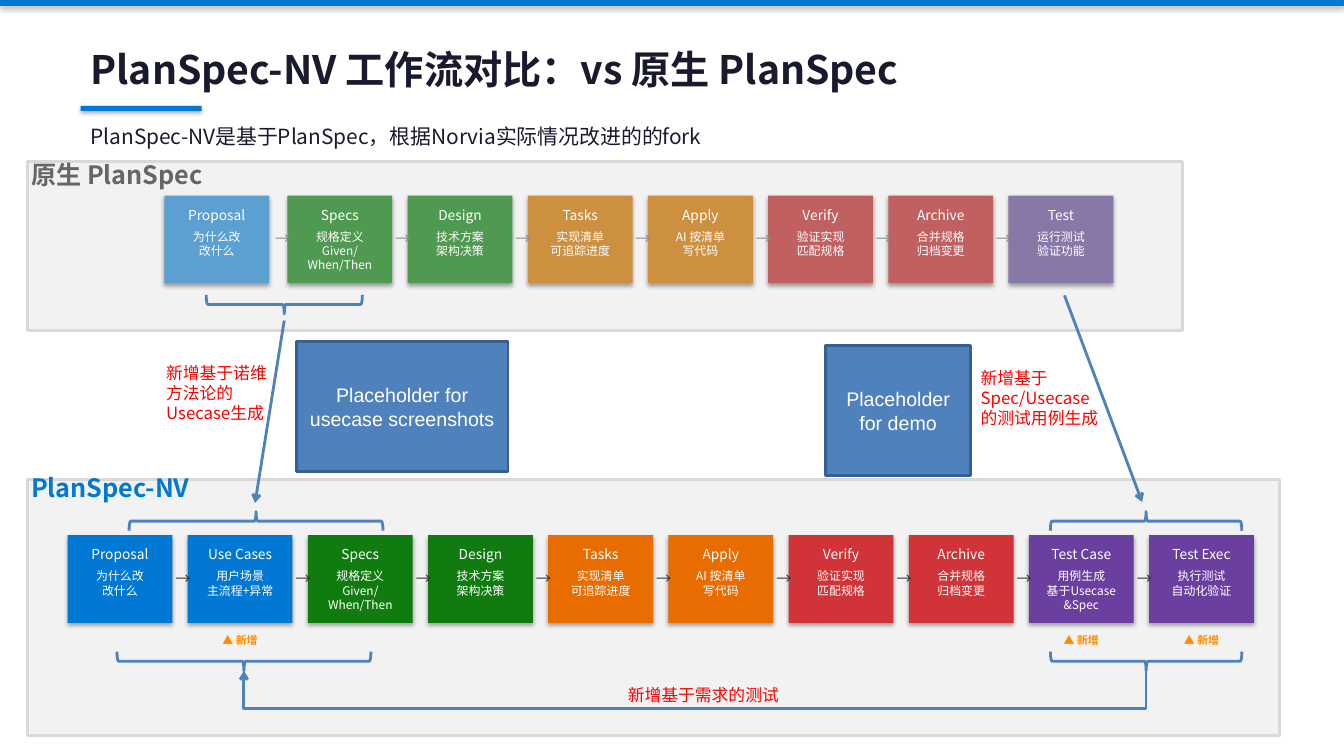
from dataclasses import dataclass

from lxml import etree
from pptx import Presentation
from pptx.dml.color import RGBColor
from pptx.enum.shapes import MSO_CONNECTOR, MSO_SHAPE
from pptx.enum.text import MSO_ANCHOR, MSO_AUTO_SIZE, PP_ALIGN
from pptx.oxml.ns import qn
from pptx.util import Inches, Pt

RECT, BRACE = MSO_SHAPE.RECTANGLE, MSO_SHAPE.RIGHT_BRACE
STRAIGHT, ELBOW = MSO_CONNECTOR.STRAIGHT, MSO_CONNECTOR.ELBOW
LEFT, CENTER = PP_ALIGN.LEFT, PP_ALIGN.CENTER
MIDDLE, GROW = MSO_ANCHOR.MIDDLE, MSO_AUTO_SIZE.SHAPE_TO_FIT_TEXT

CJK, LATIN = "Noto Sans CJK SC", "Arial"
WHITE = RGBColor(0xFF, 0xFF, 0xFF)
INK = RGBColor(0x1A, 0x1A, 0x2E)
RED = RGBColor(0xFF, 0x00, 0x00)
AMBER = RGBColor(0xFF, 0x8C, 0x00)
PANEL, PANEL_EDGE = RGBColor(0xF2, 0xF2, 0xF2), RGBColor(0xD9, 0xD9, 0xD9)
STEEL, STEEL_EDGE = RGBColor(0x4F, 0x81, 0xBD), RGBColor(0x37, 0x60, 0x92)
GREY, CHARCOAL = RGBColor(0x66, 0x66, 0x66), RGBColor(0x33, 0x33, 0x33)
ARROW_GREY = RGBColor(0x88, 0x88, 0x88)
SOFT_BLUE, BLUE = RGBColor(0x5B, 0xA0, 0xD0), RGBColor(0x00, 0x78, 0xD4)
SOFT_GREEN, GREEN = RGBColor(0x50, 0x99, 0x50), RGBColor(0x10, 0x7C, 0x10)
SOFT_ORANGE, ORANGE = RGBColor(0xCC, 0x90, 0x40), RGBColor(0xE8, 0x6C, 0x00)
SOFT_RED, CRIMSON = RGBColor(0xC0, 0x60, 0x60), RGBColor(0xD1, 0x34, 0x38)
SOFT_PURPLE, PURPLE = RGBColor(0x88, 0x78, 0xA8), RGBColor(0x6B, 0x3F, 0xA0)

# All lengths are counted in columns and rows of a square grid.
CELL = Inches(0.1)
COLS, ROWS = 133.33, 75
CARD_W, CARD_H = 10.4, 8.7
FLOW_LEFT, PITCH = 6.7, 107.3 / 9


@dataclass(frozen=True)
class Box:
    left: float
    top: float
    width: float
    height: float

    def emu(self) -> list[int]:
        return [grid(v) for v in (self.left, self.top, self.width, self.height)]


@dataclass(frozen=True)
class Style:
    size: float
    color: RGBColor
    bold: bool = False
    align: PP_ALIGN = LEFT
    font: str = CJK


@dataclass(frozen=True)
class Step:
    name: str
    detail: str
    color: RGBColor
    left: float
    is_new: bool = False


@dataclass(frozen=True)
class Brace:
    """A horizontal brace; its point faces down at 90 and up at 270 degrees."""
    center: float
    middle: float
    span: float
    turn: int


def grid(cells: float) -> int:
    return round(cells * CELL)


def flow_col(n: float) -> float:
    return FLOW_LEFT + n * PITCH


HEAD = Style(9.8, WHITE, align=CENTER)
BODY = Style(8.5, WHITE, align=CENTER)
NEW_TAG = Style(7.8, AMBER, True, CENTER)
NOTE = Style(12, RED)
BUTTON = Style(14, WHITE, align=CENTER, font=LATIN)

SHARED = [("Design", "技术方案\n架构决策", SOFT_GREEN, GREEN),
          ("Tasks", "实现清单\n可追踪进度", SOFT_ORANGE, ORANGE),
          ("Apply", "AI 按清单\n写代码", SOFT_ORANGE, ORANGE),
          ("Verify", "验证实现\n匹配规格", SOFT_RED, CRIMSON),
          ("Archive", "合并规格\n归档变更", SOFT_RED, CRIMSON)]
WHY, GIVEN = "为什么改\n改什么", "规格定义\nGiven/When/Then"
SHIFT = 0.83  # the native flow starts this many card columns further right

NATIVE = [Step("Proposal", WHY, SOFT_BLUE, 16.3),
          Step("Specs", GIVEN, SOFT_GREEN, flow_col(SHIFT + 1)),
          *(Step(name, detail, soft, flow_col(SHIFT + i))
            for i, (name, detail, soft, _) in enumerate(SHARED, 2)),
          Step("Test", "运行测试\n验证功能", SOFT_PURPLE, flow_col(SHIFT + 7))]
EXTENDED = [Step("Proposal", WHY, BLUE, flow_col(0)),
            Step("Use Cases", "用户场景\n主流程+异常", BLUE, flow_col(1), True),
            Step("Specs", GIVEN, GREEN, flow_col(2)),
            *(Step(name, detail, strong, flow_col(i))
              for i, (name, detail, _, strong) in enumerate(SHARED, 3)),
            Step("Test Case", "用例生成\n基于Usecase &Spec", PURPLE, flow_col(8), True),
            Step("Test Exec", "执行测试\n自动化验证", PURPLE, flow_col(9), True)]

PANELS = [Box(2.7, 47.6, 124.2, 25.4), Box(2.7, 16, 114.6, 16.8)]
ACCENTS = [Box(0, 0, COLS, 0.6), Box(8, 10.5, 12, 0.5)]
TEXTS = [
    (Box(8, 4, 100, 5.7), "PlanSpec-NV 工作流对比：vs 原生 PlanSpec", Style(28, INK, True)),
    (Box(8, 11.8, 110, 3.5), "PlanSpec-NV是基于PlanSpec，根据Norvia实际情况改进的的fork",
     Style(14.9, INK)),
    (Box(2.1, 15.3, 54.7, 4), "原生 PlanSpec", Style(18, GREY, True)),
    (Box(2.1, 46.4, 54.7, 4), "PlanSpec-NV", Style(18, BLUE, True)),
    (Box(96.3, 36, 14.1, 7.1), "新增基于Spec/Usecase的测试用例生成", NOTE),
    (Box(61.3, 67.4, 32.4, 3), "新增基于需求的测试", NOTE),
    (Box(15.5, 35.5, 12, 8.8), "新增基于诺维方法论的Usecase生成", NOTE)]
BUTTONS = [(Box(29.4, 33.9, 21, 12.9), "Placeholder for usecase screenshots"),
           (Box(81.9, 34.3, 14.4, 12.9), "Placeholder for demo")]
BRACES = [Brace(28.2, 30.2, 15.5, 90), Brace(25.4, 51.7, 25.2, 270),
          Brace(113.7, 51.7, 19, 270), Brace(24.2, 65.6, 25.2, 90),
          Brace(113.7, 65.6, 19, 90)]
LINKS = [(28.2, 31.8, 25.3, 49.9), (105.6, 29.3, 113.3, 49.8)]


def write(tf, text: str, style: Style) -> None:
    tf.word_wrap = True
    for i, line in enumerate(text.split("\n")):
        p = tf.add_paragraph() if i else tf.paragraphs[0]
        p.alignment = style.align
        r = p.add_run()
        r.text = line
        values = {"size": Pt(style.size), "bold": style.bold, "name": style.font}
        for key, value in values.items():
            setattr(r.font, key, value)
        r.font.color.rgb = style.color
        etree.SubElement(r.font._element, qn("a:ea"), typeface=style.font)


def add_text(shapes, box: Box, text: str, style: Style, wrap: bool = True) -> None:
    tf = shapes.add_textbox(*box.emu()).text_frame
    write(tf, text, style)
    tf.word_wrap, tf.auto_size = wrap, GROW


def add_rect(shapes, box: Box, fill: RGBColor, edge: RGBColor | None = None):
    """Edged rectangles are flat; the others keep the theme's soft shadow."""
    sp = shapes.add_shape(RECT, *box.emu())
    sp.fill.solid()
    sp.fill.fore_color.rgb = fill
    if edge is None:
        sp.line.fill.background()
    else:
        sp.shadow.inherit = False
        sp.line.color.rgb, sp.line.width = edge, Pt(2)
    return sp


def add_flow(shapes, steps: list[Step], top: float, arrow_color: RGBColor) -> None:
    for s in steps:
        add_rect(shapes, Box(s.left, top, CARD_W, CARD_H), s.color)
        add_text(shapes, Box(s.left, top + 0.6, CARD_W, 2.4), s.name, HEAD)
        add_text(shapes, Box(s.left + 0.45, top + 2.85, 9.5, 4.4), s.detail, BODY)
        if s.is_new:
            add_text(shapes, Box(s.left, top + 9.3, CARD_W, 2.2), "▲ 新增", NEW_TAG, False)
    for s in steps[1:]:
        add_text(shapes, Box(s.left - 2.2, top + 2.85, 2.7, 3.1), "→",
                 Style(11, arrow_color, align=CENTER))


def add_brace(shapes, b: Brace) -> None:
    box = Box(b.center - 0.95, b.middle - b.span / 2, 1.9, b.span)
    sp = shapes.add_shape(BRACE, *box.emu())
    sp.rotation = b.turn
    sp.shadow.inherit = False
    sp.fill.background()
    sp.line.color.rgb, sp.line.width = STEEL, Pt(2)


def add_arrow(shapes, kind: MSO_CONNECTOR, ends: tuple[float, ...]):
    line = shapes.add_connector(kind, *map(grid, ends))
    line.line.color.rgb, line.line.width = STEEL, Pt(2)
    etree.SubElement(line.line._get_or_add_ln(), qn("a:tailEnd"), type="arrow")
    etree.SubElement(line._element.spPr, qn("a:effectLst"))
    return line


def add_feedback_loop(shapes) -> None:
    """Elbow turned a quarter, so that it drops, runs left and rises again."""
    line = add_arrow(shapes, ELBOW, (69, 111.25, 68.9, 21.75))
    sp_pr = line._element.spPr
    sp_pr.find(qn("a:xfrm")).set("rot", str(270 * 60000))
    guides = sp_pr.find(qn("a:prstGeom")).find(qn("a:avLst"))
    etree.SubElement(guides, qn("a:gd"), name="adj1", fmla="val 3900000")


def main() -> None:
    prs = Presentation()
    prs.slide_width, prs.slide_height = grid(COLS), grid(ROWS)
    shapes = prs.slides.add_slide(prs.slide_layouts[6]).shapes
    for box in PANELS:
        add_rect(shapes, box, PANEL, PANEL_EDGE)
    for box in ACCENTS:
        add_rect(shapes, box, BLUE)
    add_flow(shapes, NATIVE, 19.4, ARROW_GREY)
    add_flow(shapes, EXTENDED, 53.1, CHARCOAL)
    for box, text, style in TEXTS:
        add_text(shapes, box, text, style)
    for box, text in BUTTONS:
        tf = add_rect(shapes, box, STEEL, STEEL_EDGE).text_frame
        write(tf, text, BUTTON)
        tf.vertical_anchor = MIDDLE
    for brace in BRACES:
        add_brace(shapes, brace)
    for ends in LINKS:
        add_arrow(shapes, STRAIGHT, ends)
    add_feedback_loop(shapes)
    prs.save("out.pptx")


if __name__ == "__main__":
    main()
